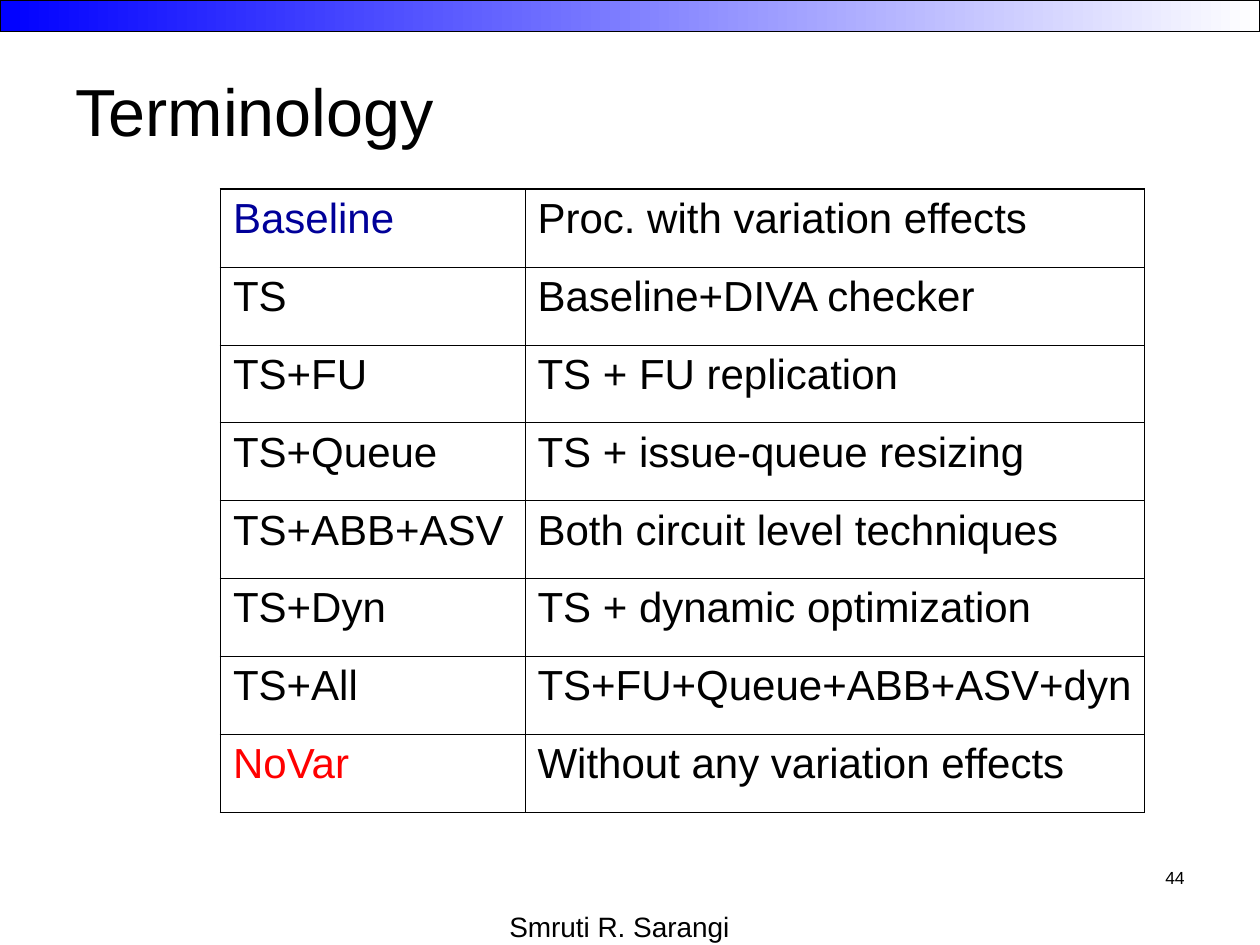
import pptx
import pptx.dml.color
import pptx.enum.shapes
import pptx.enum.text
import pptx.oxml.ns
import pptx.util
from lxml import etree

BLACK = pptx.dml.color.RGBColor(0x00, 0x00, 0x00)
WHITE = pptx.dml.color.RGBColor(0xFF, 0xFF, 0xFF)
BLUE = pptx.dml.color.RGBColor(0x00, 0x00, 0xFF)
NAVY = pptx.dml.color.RGBColor(0x00, 0x00, 0x99)
RED = pptx.dml.color.RGBColor(0xFF, 0x00, 0x00)

ALIGN = pptx.enum.text.PP_ALIGN
ANCHOR = pptx.enum.text.MSO_ANCHOR
FONT = "Arial"
WIDTH, HEIGHT = pptx.util.Inches(10), pptx.util.Inches(7.5)
COLUMNS, ROWS = 120, 90
TERM_COLUMNS = (29, 59)
OUTER, INNER = 1.08, 0.45

TERMS = [
    ("Baseline", "Proc. with variation effects"),
    ("TS", "Baseline+DIVA checker"),
    ("TS+FU", "TS + FU replication"),
    ("TS+Queue", "TS + issue-queue resizing"),
    ("TS+ABB+ASV", "Both circuit level techniques"),
    ("TS+Dyn", "TS + dynamic optimization"),
    ("TS+All", "TS+FU+Queue+ABB+ASV+dyn"),
    ("NoVar", "Without any variation effects"),
]
TERM_COLORS = {"Baseline": NAVY, "NoVar": RED}


def grid_box(column, row, columns, rows):
    """Turn grid units into left, top, width and height."""
    return (int(WIDTH * column / COLUMNS), int(HEIGHT * row / ROWS),
            int(WIDTH * columns / COLUMNS), int(HEIGHT * rows / ROWS))


def write(frame, text, size=24, color=BLACK, align=ALIGN.LEFT):
    """Write one formatted paragraph into a text frame."""
    frame.word_wrap = True
    paragraph = frame.paragraphs[0]
    paragraph.alignment = align
    run = paragraph.add_run()
    run.text = text
    run.font.name = FONT
    run.font.size = pptx.util.Pt(size)
    run.font.color.rgb = color


def add_label(slide, box, text, anchor=ANCHOR.TOP, **text_format):
    """Place a line of text in a box."""
    frame = slide.shapes.add_textbox(*box).text_frame
    frame.vertical_anchor = anchor
    write(frame, text, **text_format)


def add_banner(slide, box):
    """Place the gradient band."""
    banner = slide.shapes.add_shape(pptx.enum.shapes.MSO_SHAPE.RECTANGLE, *box)
    banner.shadow.inherit = False
    banner.fill.gradient()
    banner.fill.gradient_angle = 0
    for stop, color in zip(banner.fill.gradient_stops, (BLUE, WHITE)):
        stop.color.rgb = color
    banner.line.color.rgb = BLACK
    banner.line.width = pptx.util.Pt(1)


def set_borders(cell, widths):
    """Draw the left, right, top and bottom borders of a cell."""
    properties = cell._tc.get_or_add_tcPr()
    for position, (side, width) in enumerate(zip("LRTB", widths)):
        border = etree.Element(pptx.oxml.ns.qn(f"a:ln{side}"),
                               w=str(pptx.util.Pt(width)))
        fill = etree.SubElement(border, pptx.oxml.ns.qn("a:solidFill"))
        etree.SubElement(fill, pptx.oxml.ns.qn("a:srgbClr"), val=str(BLACK))
        properties.insert(position, border)


def add_terms(slide, box):
    """Place the table of terms and meanings."""
    left, top, width, height = box
    terms = slide.shapes.add_table(
        len(TERMS), len(TERM_COLUMNS), left, top, width, height).table
    terms.first_row = terms.horz_banding = False
    for column, share in zip(terms.columns, TERM_COLUMNS):
        column.width = int(width * share / sum(TERM_COLUMNS))
    last_row, last_column = len(TERMS) - 1, len(TERM_COLUMNS) - 1
    for row, entry in enumerate(TERMS):
        terms.rows[row].height = height // len(TERMS)
        for column, text in enumerate(entry):
            cell = terms.cell(row, column)
            cell.fill.background()
            write(cell.text_frame, text, color=TERM_COLORS.get(text, BLACK))
            on_edge = (column == 0, column == last_column,
                       row == 0, row == last_row)
            set_borders(cell, [OUTER if edge else INNER for edge in on_edge])


def main():
    """Build and save the terminology slide."""
    deck = pptx.Presentation()
    deck.slide_width, deck.slide_height = WIDTH, HEIGHT
    slide = deck.slides.add_slide(deck.slide_layouts[6])
    add_banner(slide, grid_box(0, 0, COLUMNS, 3))
    add_label(slide, grid_box(40, 86, 38, 4), "Smruti R. Sarangi",
              size=16, align=ALIGN.CENTER)
    add_label(slide, grid_box(86, 82, 28, 6), "44", size=10, align=ALIGN.RIGHT)
    add_label(slide, grid_box(6, 3, 108, 15), "Terminology",
              anchor=ANCHOR.MIDDLE, size=38)
    add_terms(slide, grid_box(21, 18, sum(TERM_COLUMNS), 59.4))
    deck.save("out.pptx")


if __name__ == "__main__":
    main()
